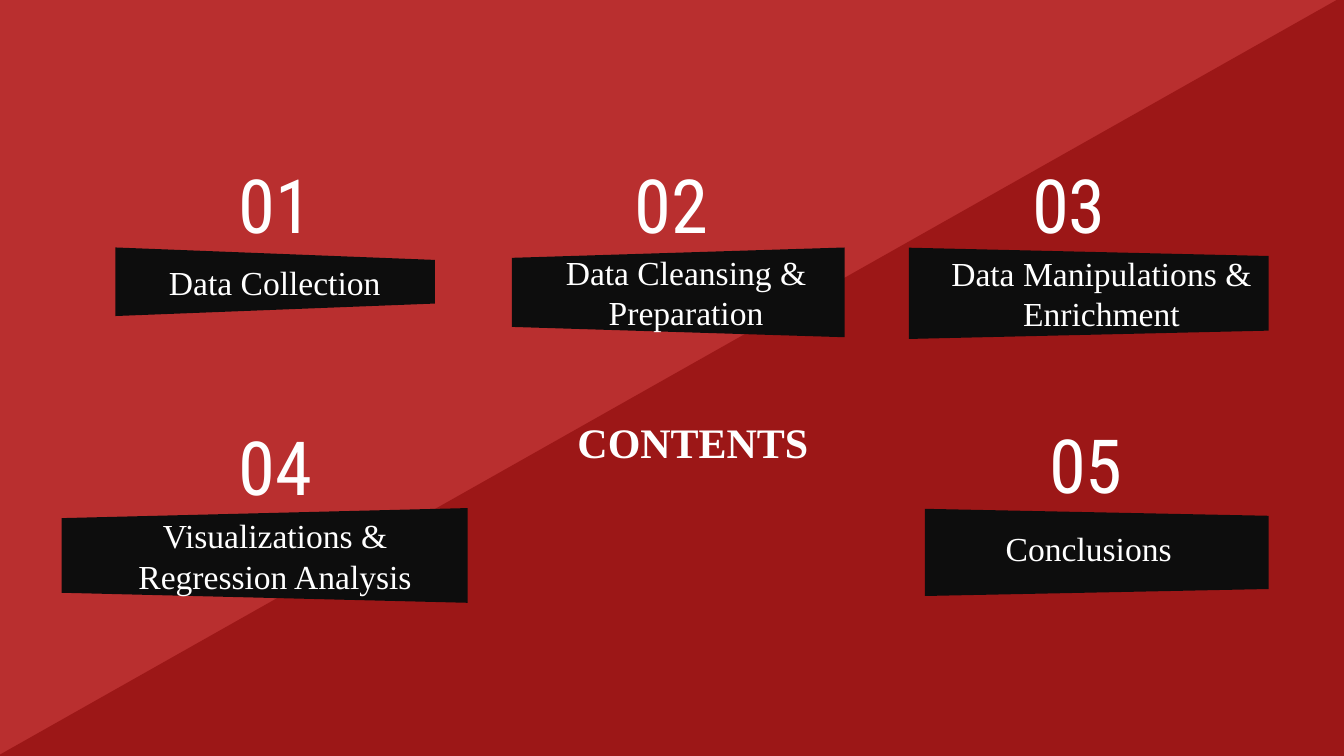
import lxml.etree
import pptx
import pptx.dml.color
import pptx.enum.shapes
import pptx.enum.text
import pptx.oxml.ns
import pptx.util

SLIDE_WIDTH = pptx.util.Inches(26.67)
SLIDE_HEIGHT = pptx.util.Inches(15)
COLUMN = SLIDE_WIDTH / 100
ROW = SLIDE_HEIGHT / 100
SHAPES = pptx.enum.shapes.MSO_SHAPE
SERIF = "Times New Roman"
CONDENSED = "Roboto Condensed"
WHITE = "FFFFFF"
BLACK = "0D0D0D"

SECTIONS = [
    {"number": "01", "label": "Data Collection", "number_at": (20.47, 26.87),
     "label_at": (20.45, 37.27, 25, 7.2), "banner_at": (20.47, 37.27, 23.77, 9.07),
     "taper": 0.182, "turn": 90},
    {"number": "02", "label": "Data Cleansing & Preparation", "number_at": (49.98, 26.87),
     "label_at": (51.05, 38.67, 25, 7.2), "banner_at": (50.47, 38.67, 24.75, 11.87),
     "taper": 0.115, "turn": 270},
    {"number": "03", "label": "Data Manipulations & Enrichment", "number_at": (79.53, 26.87),
     "label_at": (81.96, 38.77, 28.65, 11.53), "banner_at": (81.01, 38.8, 26.77, 12.07),
     "taper": 0.091, "turn": 90},
    {"number": "04", "label": "Visualizations & Regression Analysis", "number_at": (20.47, 61.6),
     "label_at": (20.47, 73.47, 30, 12.53), "banner_at": (19.69, 73.47, 30.22, 12.53),
     "taper": 0.106, "turn": 270},
    {"number": "05", "label": "Conclusions", "number_at": (80.8, 61.33),
     "label_at": (81.01, 72.53, 25, 7.2), "banner_at": (81.61, 73.07, 25.57, 11.53),
     "taper": 0.08, "turn": 90},
]


def paint(fill, color):
    fill.solid()
    fill.fore_color.rgb = pptx.dml.color.RGBColor.from_string(color)


def frame(center_x, center_y, columns, rows, turned=False):
    width, height = columns * COLUMN, rows * ROW
    if turned:
        width, height = height, width
    left, top = center_x * COLUMN - width / 2, center_y * ROW - height / 2
    return [pptx.util.Emu(round(length)) for length in (left, top, width, height)]


def add_turned_shape(slide, kind, area, color, turn):
    turned_shape = slide.shapes.add_shape(kind, *frame(*area, turned=True))
    turned_shape.rotation = turn
    turned_shape.shadow.inherit = False
    paint(turned_shape.fill, color)
    turned_shape.line.fill.background()
    return turned_shape


def add_banner(slide, area, taper, turn):
    banner = add_turned_shape(slide, SHAPES.TRAPEZOID, area, BLACK, turn)
    banner.adjustments[0] = taper


def add_text_shadow(font):
    qn = pptx.oxml.ns.qn
    effects = lxml.etree.Element(qn("a:effectLst"))
    shadow = lxml.etree.SubElement(effects, qn("a:outerShdw"), dist="76200", dir="2700000")
    lxml.etree.SubElement(shadow, qn("a:srgbClr"), val=BLACK)
    font.fill._xPr.find(qn("a:solidFill")).addnext(effects)


def add_caption(slide, area, text, size, typeface, bold=False, shadowed=False):
    caption = slide.shapes.add_textbox(*frame(*area)).text_frame
    caption.text = text
    caption.word_wrap = True
    caption.vertical_anchor = pptx.enum.text.MSO_ANCHOR.MIDDLE
    inset = pptx.util.Inches(0.27)
    caption.margin_left = caption.margin_right = inset
    caption.margin_top = caption.margin_bottom = inset
    paragraph = caption.paragraphs[0]
    paragraph.alignment = pptx.enum.text.PP_ALIGN.CENTER
    font = paragraph.runs[0].font
    font.size = pptx.util.Pt(size)
    font.name = typeface
    font.bold = bold
    paint(font.fill, WHITE)
    if shadowed:
        add_text_shadow(font)


def main():
    presentation = pptx.Presentation()
    presentation.slide_width = SLIDE_WIDTH
    presentation.slide_height = SLIDE_HEIGHT
    contents = presentation.slides.add_slide(presentation.slide_layouts[6])
    paint(contents.background.fill, "B92F2F")
    add_turned_shape(contents, SHAPES.RIGHT_TRIANGLE, (49.93, 49.7, 100.37, 100.73), "9C1717", 270)
    for section in SECTIONS:
        add_banner(contents, section["banner_at"], section["taper"], section["turn"])
    add_caption(contents, (51.56, 58.43, 48.82, 11.53), "CONTENTS", 60, SERIF,
                bold=True, shadowed=True)
    for section in SECTIONS:
        add_caption(contents, (*section["number_at"], 9.67, 10.27), section["number"],
                    106.7, CONDENSED, shadowed=True)
        add_caption(contents, section["label_at"], section["label"], 48, SERIF)
    presentation.save("out.pptx")


if __name__ == "__main__":
    main()
